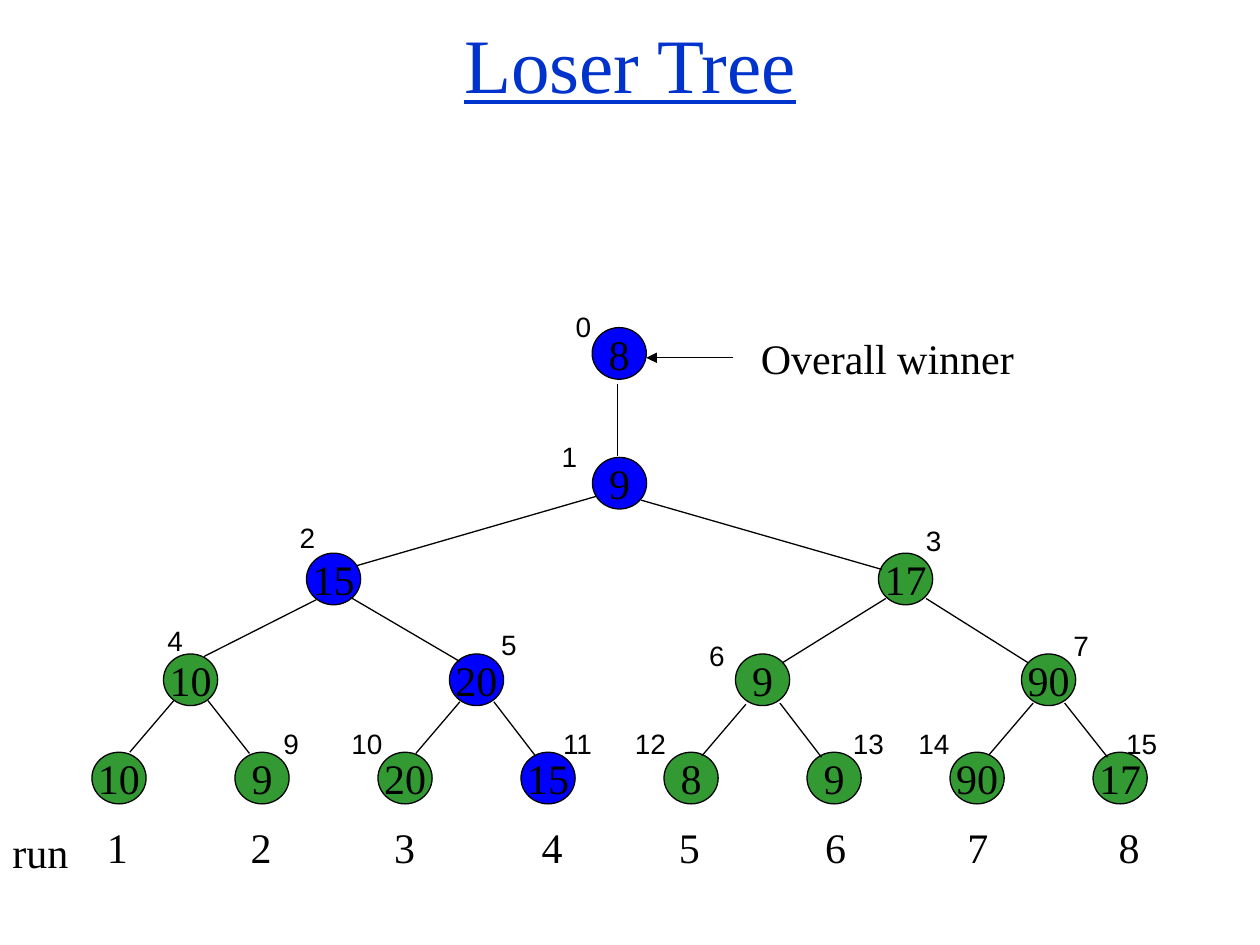
from dataclasses import dataclass

from lxml.etree import SubElement
from pptx import Presentation
from pptx.dml.color import RGBColor as Rgb
from pptx.enum.shapes import MSO_CONNECTOR as Connector, MSO_SHAPE as Shape
from pptx.enum.text import MSO_ANCHOR as Anchor, PP_ALIGN as Align
from pptx.oxml.ns import qn
from pptx.util import Inches, Pt


@dataclass(frozen=True)
class Theme:
    """Colours, fonts and sizes of the slide."""
    title_color: Rgb = Rgb(0x00, 0x33, 0xCC)
    ink: Rgb = Rgb(0x00, 0x00, 0x00)
    match: Rgb = Rgb(0x33, 0x99, 0x33)
    winner: Rgb = Rgb(0x00, 0x00, 0xFF)
    serif: str = "Times New Roman"
    sans: str = "Arial"
    title_size: int = 44
    body_size: int = 24
    index_size: int = 16
    line_width: float = 0.75


class TreeSlide:
    """Draws tree parts on one slide in one theme."""

    def __init__(self, slide, theme):
        self.shapes = slide.shapes
        self.theme = theme

    def set_wording(self, frame, wording, size, font, color, align):
        frame.text = wording
        paragraph = frame.paragraphs[0]
        paragraph.alignment = align
        run = paragraph.runs[0]
        run.font.size = Pt(size)
        run.font.name = font
        run.font.color.rgb = color
        return run

    def text(self, wording, left, top, width, height, size, font):
        frame = self.shapes.add_textbox(
            Inches(left), Inches(top), Inches(width), Inches(height)).text_frame
        frame.word_wrap = True
        self.set_wording(frame, wording, size, font, self.theme.ink, Align.LEFT)

    def title(self, wording):
        frame = self.shapes.add_textbox(
            Inches(0), Inches(0), Inches(10), Inches(1)).text_frame
        frame.word_wrap = True
        frame.vertical_anchor = Anchor.MIDDLE
        run = self.set_wording(frame, wording, self.theme.title_size, self.theme.serif,
                               self.theme.title_color, Align.CENTER)
        run.font.underline = True

    def caption(self, wording, left, top, width):
        self.text(wording, left, top, width, 0.5, self.theme.body_size, self.theme.serif)

    def index(self, number, left, top, width):
        self.text(str(number), left, top, width, 0.37, self.theme.index_size, self.theme.sans)

    def node(self, value, left, top, fill):
        circle = self.shapes.add_shape(
            Shape.OVAL, Inches(left), Inches(top), Inches(0.43), Inches(0.41))
        circle.shadow.inherit = False
        circle.fill.solid()
        circle.fill.fore_color.rgb = fill
        circle.line.color.rgb = self.theme.ink
        circle.line.width = Pt(self.theme.line_width)
        frame = circle.text_frame
        frame.word_wrap = False
        frame.vertical_anchor = Anchor.MIDDLE
        self.set_wording(frame, str(value), self.theme.body_size, self.theme.serif,
                         self.theme.ink, Align.CENTER)

    def edge(self, x1, y1, x2, y2, arrow=False):
        branch = self.shapes.add_connector(
            Connector.STRAIGHT, Inches(x1), Inches(y1), Inches(x2), Inches(y2))
        branch.line.color.rgb = self.theme.ink
        branch.line.width = Pt(self.theme.line_width)
        properties = branch._element.spPr
        if arrow:
            SubElement(properties.find(qn("a:ln")), qn("a:tailEnd"), type="triangle")
        SubElement(properties, qn("a:effectLst"))


LEAF_LEFT, LEAF_STEP, LEAVES = 0.73, 1.135, 8
LEVEL_TOPS = (3.63, 4.39, 5.19, 5.97)
NODE_VALUES = (9, 15, 17, 10, 20, 9, 90, 10, 9, 20, 15, 8, 9, 90, 17)
WINNER_PATH = {1, 2, 5, 11}
EDGES = (
    (4.73, 3.94, 2.83, 4.49), (5.09, 3.97, 7, 4.52),
    (2.51, 4.76, 1.62, 5.21), (2.78, 4.74, 3.65, 5.25),
    (7.03, 4.75, 6.21, 5.26), (7.35, 4.75, 8.16, 5.26),
    (1.38, 5.56, 1.03, 5.97), (1.65, 5.56, 1.98, 5.98),
    (3.65, 5.57, 3.3, 5.98), (3.92, 5.57, 4.25, 6),
    (5.92, 5.59, 5.57, 6), (6.19, 5.58, 6.52, 6.01),
    (8.2, 5.58, 7.85, 5.99), (8.45, 5.58, 8.79, 6.01),
    (4.9, 3.05, 4.9, 3.62),
)
INNER_INDEXES = ((4.47, 2.41), (4.36, 3.44), (2.28, 4.08), (7.25, 4.11),
                 (1.23, 4.9), (3.88, 4.93), (5.53, 5.02), (8.42, 4.94))
LEAF_INDEXES = ((2.15, 0.27), (2.69, 0.62), (4.37, 0.52), (4.94, 0.51),
                (6.67, 0.54), (7.19, 0.57), (8.84, 0.56))
RUN_LEFTS = (0.75, 1.89, 3.03, 4.2, 5.29, 6.45, 7.58, 8.78)


def main():
    deck = Presentation()
    deck.slide_width, deck.slide_height = Inches(10), Inches(7.5)
    theme = Theme()
    tree = TreeSlide(deck.slides.add_slide(deck.slide_layouts[6]), theme)

    tree.title("Loser Tree")
    for position, value in enumerate(NODE_VALUES, 1):
        level = position.bit_length() - 1
        span = LEAVES / 2 ** level
        slot = position - 2 ** level
        left = LEAF_LEFT + LEAF_STEP * (slot * span + (span - 1) / 2)
        fill = theme.winner if position in WINNER_PATH else theme.match
        tree.node(value, left, LEVEL_TOPS[level], fill)
    tree.node(8, 4.7, 2.6, theme.winner)

    for ends in EDGES:
        tree.edge(*ends)
    for number, (left, top) in enumerate(INNER_INDEXES):
        tree.index(number, left, top, 0.27)
    for number, (left, width) in enumerate(LEAF_INDEXES, 9):
        tree.index(number, left, 5.72, width)

    tree.edge(5.82, 2.84, 5.13, 2.84, arrow=True)
    tree.caption("Overall winner", 5.94, 2.59, 2.48)
    tree.caption("run", 0, 6.51, 0.89)
    for run_number, left in enumerate(RUN_LEFTS, 1):
        tree.caption(str(run_number), left, 6.47, 0.35)

    deck.save("out.pptx")


if __name__ == "__main__":
    main()
